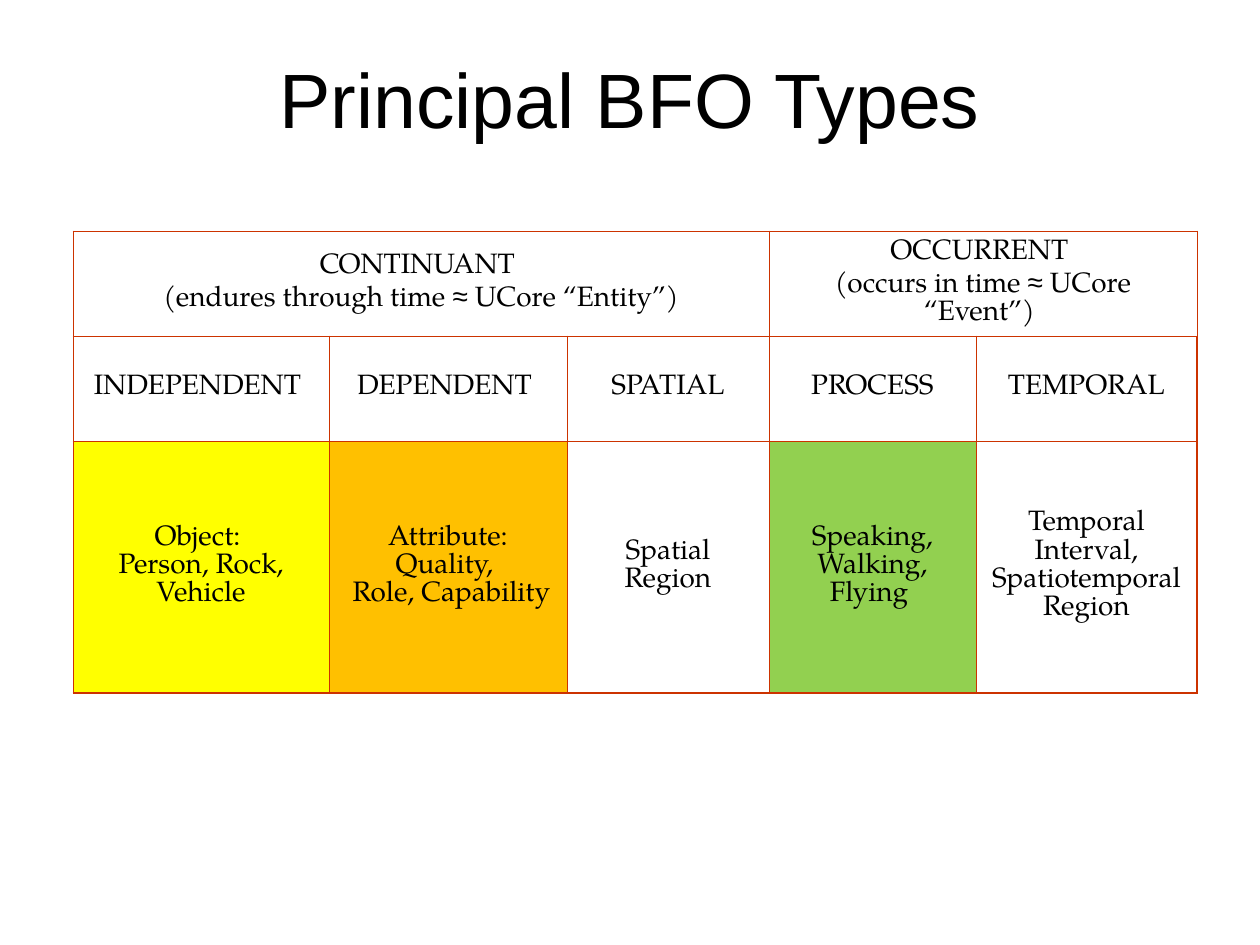
from lxml import etree
from pptx import Presentation
from pptx.dml.color import RGBColor
from pptx.enum.text import MSO_ANCHOR, PP_ALIGN
from pptx.oxml.ns import qn
from pptx.util import Emu, Pt

CENTER = PP_ALIGN.CENTER
TOP, MIDDLE = MSO_ANCHOR.TOP, MSO_ANCHOR.MIDDLE
BLACK = RGBColor(0x00, 0x00, 0x00)
YELLOW = RGBColor(0xFF, 0xFF, 0x00)
ORANGE = RGBColor(0xFF, 0xC0, 0x00)
GREEN = RGBColor(0x92, 0xD0, 0x50)
RULE_RED = RGBColor(0xCC, 0x33, 0x00)
TITLE_FONT, TABLE_FONT = "Arial", "TeX Gyre Pagella"
THIN, THICK = Pt(0.45), Pt(1.08)
APPROX = "≈"

COLUMNS = [256, 238, 202, 207, 221]
ROWS = [105, 105, 252]
CELLS = [
    (0, 0, 3, ["CONTINUANT ", "(endures through time ≈ UCore “Entity”)"], None),
    (0, 3, 2, ["OCCURRENT \v(occurs in time ≈ UCore “Event”) "], None),
    (1, 0, 1, ["INDEPENDENT "], None),
    (1, 1, 1, ["DEPENDENT "], None),
    (1, 2, 1, ["SPATIAL"], None),
    (1, 3, 1, ["PROCESS"], None),
    (1, 4, 1, ["TEMPORAL"], None),
    (2, 0, 1, ["Object: ", "Person, Rock, Vehicle"], YELLOW),
    (2, 1, 1, ["Attribute: Quality, ", " Role, Capability"], ORANGE),
    (2, 2, 1, ["Spatial Region"], None),
    (2, 3, 1, ["Speaking, Walking, Flying "], GREEN),
    (2, 4, 1, ["Temporal Interval,", "Spatiotemporal Region"], None),
]


def px(count):
    """Convert pixels at 126 to the inch into EMU."""
    return Emu(round(count * 914400 / 126))


def style_font(font, name, size):
    """Set the name, size and black colour of a font."""
    font.name = name
    font.size = Pt(size)
    font.color.rgb = BLACK


def fill_title(title, left, top, width, height):
    """Place the title placeholder and write the heading."""
    title.left, title.top = px(left), px(top)
    title.width, title.height = px(width), px(height)
    frame = title.text_frame
    frame.vertical_anchor = TOP
    frame.margin_top = px(14)
    frame.text = "Principal BFO Types"
    para = frame.paragraphs[0]
    para.alignment = CENTER
    style_font(para.font, TITLE_FONT, 44)


def write_cell(cell, lines):
    """Write centred paragraphs, with the approximation sign in Arial."""
    cell.vertical_anchor = MIDDLE
    frame = cell.text_frame
    frame.text = "\n".join(lines)
    for para, line in zip(frame.paragraphs, lines):
        para.alignment = CENTER
        style_font(para.font, TABLE_FONT, 16)
        before, sign, after = line.partition(APPROX)
        if sign:
            para.text = before
            span = para.add_run()
            span.text = sign
            span.font.name = TITLE_FONT
            para.add_run().text = after


def set_borders(cell, widths):
    """Draw the left, right, top and bottom rules of a cell."""
    properties = cell._tc.get_or_add_tcPr()
    for index, (side, width) in enumerate(zip("LRTB", widths)):
        line = etree.Element(qn(f"a:ln{side}"), w=str(width))
        solid = etree.SubElement(line, qn("a:solidFill"))
        etree.SubElement(solid, qn("a:srgbClr"), val=str(RULE_RED))
        properties.insert(index, line)


def add_types_table(page, left, top):
    """Add the table of continuant and occurrent types."""
    table = page.shapes.add_table(
        len(ROWS), len(COLUMNS), px(left), px(top), px(sum(COLUMNS)), px(sum(ROWS))
    ).table
    table.first_row = table.horz_banding = False
    for column, width in zip(table.columns, COLUMNS):
        column.width = px(width)
    for row, height in zip(table.rows, ROWS):
        row.height = px(height)
    for row in range(len(ROWS)):
        bottom = THICK if row == len(ROWS) - 1 else THIN
        for column in range(len(COLUMNS)):
            right = THICK if column == len(COLUMNS) - 1 else THIN
            cell = table.cell(row, column)
            cell.fill.background()
            set_borders(cell, (THIN, right, THIN, bottom))
    for row, column, span, lines, color in CELLS:
        cell = table.cell(row, column)
        if span > 1:
            cell.merge(table.cell(row, column + span - 1))
        if color is not None:
            cell.fill.solid()
            cell.fill.fore_color.rgb = color
        write_cell(cell, lines)


def main():
    """Build the slide and save the deck."""
    deck = Presentation()
    deck.slide_width, deck.slide_height = px(1260), px(945)
    page = deck.slides.add_slide(deck.slide_layouts[5])
    fill_title(page.shapes.title, 63, 38, 1134, 158)
    add_types_table(page, 73, 231)
    deck.save("out.pptx")


if __name__ == "__main__":
    main()
